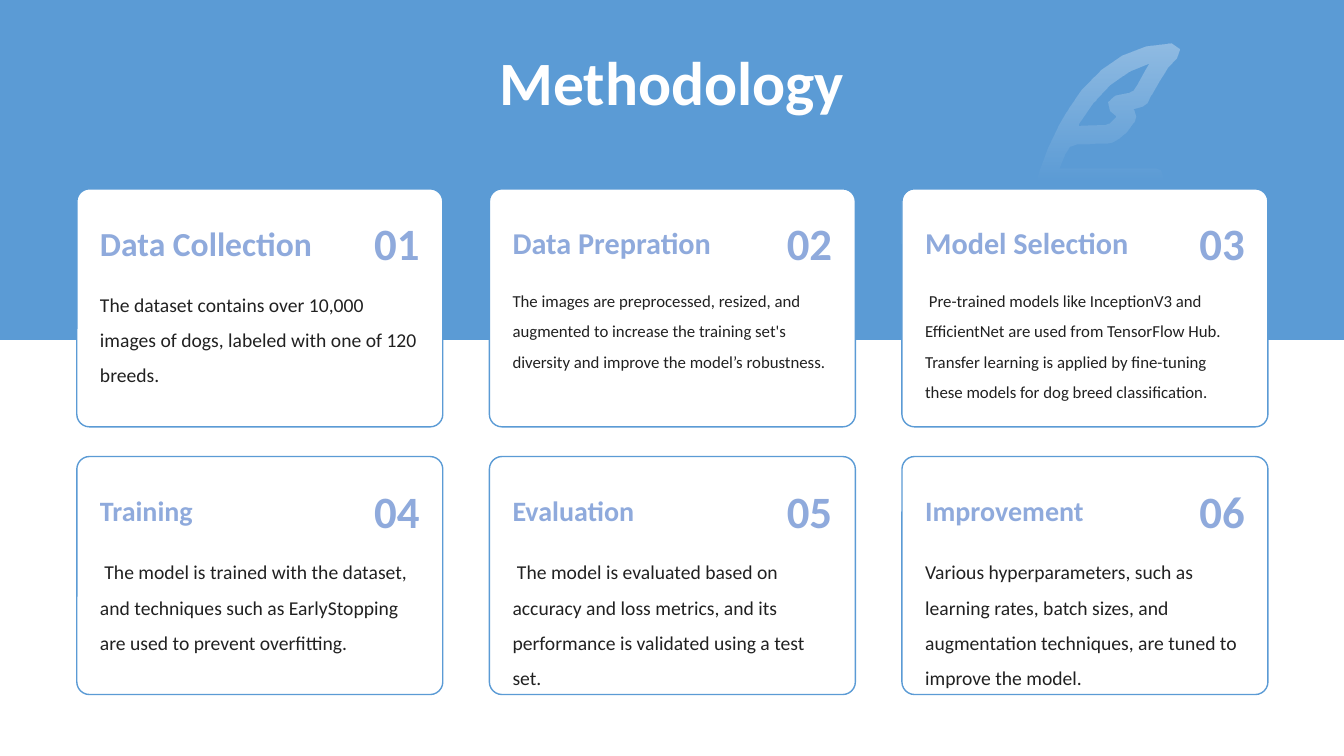
from pptx import Presentation
from pptx.dml.color import RGBColor
from pptx.enum import shapes, text
from pptx.oxml.ns import qn
from pptx.util import Pt

TITLE = "Methodology"
# heading, heading size, body, body size
CARDS = [
    ("Data Collection", 24,
     "The dataset contains over 10,000 images of dogs, labeled with one of 120 breeds.", 14),
    ("Data Prepration", 21.6,
     "The images are preprocessed, resized, and augmented to increase the training set's "
     "diversity and improve the model’s robustness.", 12),
    ("Model Selection", 21.6,
     " Pre-trained models like InceptionV3 and EfficientNet are used from TensorFlow Hub. "
     "Transfer learning is applied by fine-tuning these models for dog breed classification.", 12),
    ("Training", 20,
     " The model is trained with the dataset, and techniques such as EarlyStopping are used "
     "to prevent overfitting.", 14),
    ("Evaluation", 20,
     " The model is evaluated based on accuracy and loss metrics, and its performance is "
     "validated using a test set.", 14),
    ("Improvement", 20,
     "Various hyperparameters, such as learning rates, batch sizes, and augmentation "
     "techniques, are tuned to improve the model.", 14),
]
COLORS = {"blue": "5B9BD5", "head": "8FAADC", "ink": "212121", "white": "FFFFFF"}
FONT = "Calibri"

# Feather outlines: a start point, then steps of one point (line) or three (curve)
UNIT = 0.72  # points per feather unit
OUTER = [
    (1162, 43), [(1170, 43), (1174, 53), (1167, 58)], [(1160, 64), (1156, 69), (1150, 80)],
    [(1142, 94)], [(1141, 97), (1139, 99), (1138, 102)],
    [(1136, 105), (1132, 106), (1124, 108)], [(1125, 110)],
    [(1127, 114), (1127, 117), (1125, 121)], [(1124, 122)],
    [(1115, 135), (1106, 142), (1096, 142)], [(1086, 142)],
    [(1068, 142), (1063, 143), (1061, 145)], [(1059, 148), (1055, 155), (1051, 166)],
    [(1146, 166)], [(1150, 166), (1153, 169), (1153, 174)], [(1153, 179)],
    [(1151, 181)], [(1033, 181)], [(1030, 179)], [(1030, 174)], [(1031, 169)],
    [(1042, 138), (1056, 111), (1073, 89)], [(1097, 60), (1127, 43), (1162, 43)],
]
INNER = [
    (1140, 63), [(1111, 71), (1088, 92), (1070, 123)], [(1070, 125)],
    [(1077, 124), (1082, 124), (1088, 124)], [(1096, 124)],
    [(1099, 124), (1102, 122), (1107, 116)], [(1107, 115)], [(1101, 110)],
    [(1096, 105), (1099, 96), (1106, 95)], [(1120, 92)], [(1124, 90)],
    [(1128, 84)], [(1134, 73)], [(1140, 63)],
]

WIDE, HIGH = 960, 540
CARD_W, CARD_H = 261.4, 170
LEFT, TOP, STEP_X, STEP_Y = 54.9, 134.9, 294.7, 191.2
PAD, NUM_W, HEAD_H = 16.5, 57.6, 46.8


def rgb(name):
    return RGBColor.from_string(COLORS[name])


def write(frame, words, size, color, **look):
    for key in ("margin_left", "margin_top", "margin_right", "margin_bottom"):
        setattr(frame, key, 0)
    frame.word_wrap = look.get("wrap", True)
    frame.auto_size = text.MSO_AUTO_SIZE.NONE
    frame.vertical_anchor = look.get("anchor", text.MSO_ANCHOR.MIDDLE)
    para = frame.paragraphs[0]
    para.text = words
    para.alignment = look.get("align", text.PP_ALIGN.LEFT)
    para.line_spacing = look.get("spacing", 1.0)
    font = para.runs[0].font
    for key, value in {"name": FONT, "size": Pt(size), "bold": look.get("bold", True)}.items():
        setattr(font, key, value)
    font.color.rgb = rgb(color)


def label(slide, box, *args, **look):
    write(slide.shapes.add_textbox(*map(Pt, box)).text_frame, *args, **look)


def panel(slide, kind, box, fill, line=None):
    shape = slide.shapes.add_shape(kind, *map(Pt, box))
    shape.shadow.inherit = False
    shape.fill.solid()
    shape.fill.fore_color.rgb = rgb(fill)
    if line:
        shape.line.color.rgb = rgb(line)
        shape.line.width = Pt(1)
    else:
        shape.line.fill.background()
    return shape


def trace(outline):
    """Turn an outline into points, sampling long curves more than short ones."""
    spots = [outline[0]]
    for step in outline[1:]:
        if len(step) == 1:
            spots += step
            continue
        ends = [spots[-1], *step]
        span = max(abs(a - b) for a, b in zip(ends[0], ends[3]))
        parts = 4 if span > 25 else 2
        for i in range(1, parts + 1):
            t = i / parts
            mix = ((1 - t) ** 3, 3 * t * (1 - t) ** 2, 3 * t * t * (1 - t), t ** 3)
            spots.append(tuple(sum(m * p[axis] for m, p in zip(mix, ends)) for axis in (0, 1)))
    return [(Pt(x * UNIT), Pt(y * UNIT)) for x, y in spots[:-1]]


def draw_feather(slide):
    outer, inner = trace(OUTER), trace(INNER)
    pen = slide.shapes.build_freeform(*outer[0])
    pen.add_line_segments(outer[1:], close=True)
    pen.move_to(*inner[0])
    pen.add_line_segments(inner[1:], close=True)
    shape = pen.convert_to_shape()
    shape.shadow.inherit = False
    shape.line.fill.background()
    shape.fill.gradient()
    shape.fill.gradient_angle = 270
    for stop in shape.fill.gradient_stops:
        stop.color.rgb = rgb("white")
    for tint, alpha in zip(shape.element.iter(qn("a:srgbClr")), (33000, 0)):
        tint.append(tint.makeelement(qn("a:alpha"), {"val": str(alpha)}))
    return shape


def draw_card(slide, index, head, head_size, body, body_size):
    row, col = divmod(index, 3)
    x, y = LEFT + col * STEP_X, TOP + row * STEP_Y
    card = panel(slide, shapes.MSO_SHAPE.ROUNDED_RECTANGLE, (x, y, CARD_W, CARD_H),
                 "white", "blue")
    card.adjustments[0] = 0.053
    inner = CARD_W - 2 * PAD
    label(slide, (x + PAD, y + 65.7, inner, 89), body, body_size, "ink",
          anchor=text.MSO_ANCHOR.TOP, spacing=1.5, bold=False)
    label(slide, (x + PAD, y + 15, 157.7, HEAD_H), head, head_size, "head")
    label(slide, (x + PAD + inner - NUM_W, y + 15, NUM_W, HEAD_H), f"{index + 1:02}", 32,
          "head", align=text.PP_ALIGN.RIGHT, wrap=False)


def main():
    deck = Presentation()
    deck.slide_width, deck.slide_height = Pt(WIDE), Pt(HIGH)
    slide = deck.slides.add_slide(deck.slide_layouts[5])
    panel(slide, shapes.MSO_SHAPE.RECTANGLE, (0, 0, WIDE, 242.8), "blue")
    feather = draw_feather(slide)
    title = slide.shapes.title
    feather.element.addnext(title.element)
    for key, value in {"left": 55, "top": 28, "width": 850, "height": 57}.items():
        setattr(title, key, Pt(value))
    write(title.text_frame, TITLE, 44, "white", anchor=text.MSO_ANCHOR.BOTTOM,
          align=text.PP_ALIGN.CENTER, spacing=0.9)
    for index, card in enumerate(CARDS):
        draw_card(slide, index, *card)
    deck.save("out.pptx")


if __name__ == "__main__":
    main()
